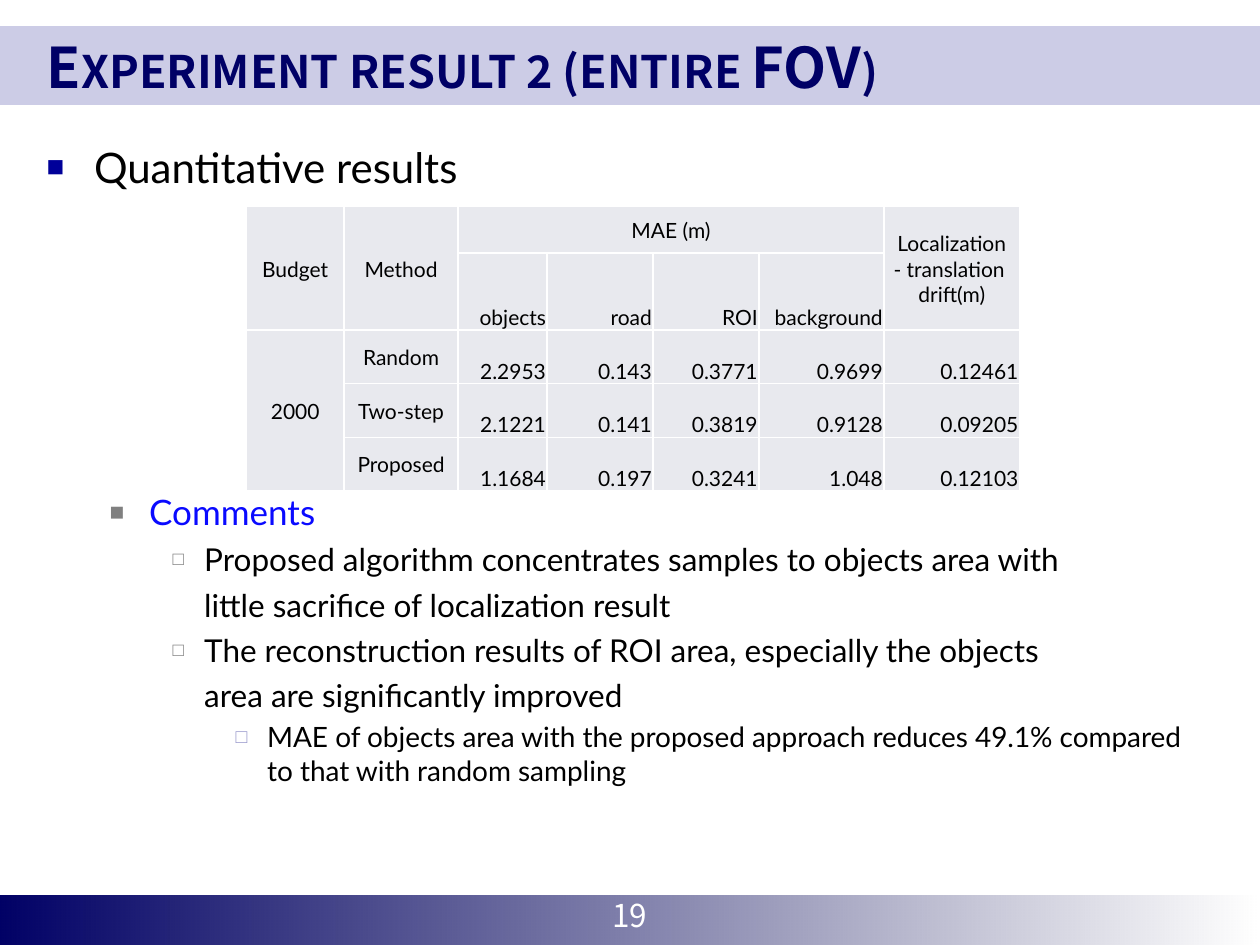
import dataclasses
from typing import Optional

import lxml.etree
import pptx
import pptx.dml.color
import pptx.enum.shapes
import pptx.enum.text
import pptx.oxml.ns
import pptx.util

Pt = pptx.util.Pt
ALIGN = pptx.enum.text.PP_ALIGN
ANCHOR = pptx.enum.text.MSO_ANCHOR
qn = pptx.oxml.ns.qn

COLORS = {
    "band": "CCCCE6", "navy": "000066", "night": "000049", "marker": "000099",
    "gray": "808080", "lilac": "9999CC", "blue": "0A0AFF", "black": "000000",
    "white": "FFFFFF", "cell": "E8E9EE",
}
HEAD_FONT, BODY_FONT = "Noto Sans CJK KR", "Lato"


@dataclasses.dataclass
class Box:
    left: float
    top: float
    width: float
    height: float

    def lengths(self) -> tuple:
        return tuple(Pt(value) for value in dataclasses.astuple(self))


@dataclasses.dataclass
class Bullet:
    text: str
    level: int
    size: float
    indent: float
    hanging: float
    mark: str
    mark_color: str
    mark_percent: int
    color: str = "black"
    before: float = 0
    spacing: float = 1.2


@dataclasses.dataclass
class Entry:
    row: int
    column: int
    text: str
    rows: int = 1
    columns: int = 1
    number: bool = False


def rgb(name: str) -> pptx.dml.color.RGBColor:
    return pptx.dml.color.RGBColor.from_string(COLORS[name])


def add_element(parent, tag: str, **attributes: str):
    return lxml.etree.SubElement(parent, qn(tag), attributes)


def style_font(font, name: str, size: float, color: str, bold: Optional[bool] = None) -> None:
    font.name, font.size, font.bold = name, Pt(size), bold
    font.color.rgb = rgb(color)


def place(shape, box: Box) -> None:
    shape.left, shape.top, shape.width, shape.height = box.lengths()


def add_bar(page, box: Box):
    bar = page.shapes.add_shape(pptx.enum.shapes.MSO_SHAPE.RECTANGLE, *box.lengths())
    bar.shadow.inherit = False
    bar.line.fill.background()
    page.shapes.element.insert(2, bar.element)  # behind the placeholders
    return bar


def write_bullet(para, item: Bullet) -> None:
    para.text, para.level = item.text, item.level
    para.line_spacing, para.space_before, para.space_after = item.spacing, Pt(item.before), Pt(0)
    properties = para._p.get_or_add_pPr()
    properties.set("marL", str(Pt(item.indent)))
    properties.set("indent", str(Pt(-item.hanging)))
    add_element(add_element(properties, "a:buClr"), "a:srgbClr", val=COLORS[item.mark_color])
    add_element(properties, "a:buSzPct", val=str(item.mark_percent * 1000))
    add_element(properties, "a:buChar", char=item.mark)
    style_font(para.font, BODY_FONT, item.size, item.color)


def format_cell(cell) -> None:
    cell.margin_left = cell.margin_right = cell.margin_top = Pt(0.72)
    cell.margin_bottom = Pt(0)
    properties = cell._tc.get_or_add_tcPr()
    for side in ("a:lnL", "a:lnR", "a:lnT", "a:lnB"):
        line = add_element(properties, side, w=str(Pt(1)))
        add_element(add_element(line, "a:solidFill"), "a:srgbClr", val=COLORS["white"])
    cell.fill.solid()
    cell.fill.fore_color.rgb = rgb("cell")


def write_entry(table, entry: Entry) -> None:
    cell = table.cell(entry.row, entry.column)
    if entry.rows * entry.columns > 1:
        cell.merge(table.cell(entry.row + entry.rows - 1, entry.column + entry.columns - 1))
    cell.text = entry.text
    cell.vertical_anchor = ANCHOR.BOTTOM if entry.number else ANCHOR.MIDDLE
    for para in cell.text_frame.paragraphs:
        para.alignment = ALIGN.RIGHT if entry.number else ALIGN.CENTER
        style_font(para.font, BODY_FONT, 12, "black", False)


def add_results(page, box: Box, widths: list, heights: list, entries: list) -> None:
    table = page.shapes.add_table(len(heights), len(widths), *box.lengths()).table
    table.first_row = table.horz_banding = False
    for column, width in zip(table.columns, widths):
        column.width = Pt(width)
    for row, height in zip(table.rows, heights):
        row.height = Pt(height)
    for cell in table.iter_cells():
        format_cell(cell)
    for entry in entries:
        write_entry(table, entry)


BULLETS = [
    Bullet("Quantitative results", 0, 24, 27, 27, "■", "marker", 70),
    # The space before this line leaves room for the table
    Bullet("Comments", 1, 20, 58.5, 22.5, "■", "gray", 70, "blue", before=166),
    Bullet("Proposed algorithm concentrates samples to objects area with\v"
           "little sacrifice of localization result", 2, 18, 90, 18, "□", "gray", 60),
    Bullet("The reconstruction results of ROI area, especially the objects\v"
           "area are significantly improved", 2, 18, 90, 18, "□", "gray", 60),
    Bullet("MAE of objects area with the proposed approach reduces 49.1% compared "
           "to that with random sampling", 3, 16, 126, 18, "□", "lilac", 70,
           before=3.2, spacing=1.0),
]
HEADINGS = [
    Entry(0, 0, "Budget", rows=2),
    Entry(0, 1, "Method", rows=2),
    Entry(0, 2, "MAE (m)", columns=4),
    Entry(0, 6, "Localization\n- translation \vdrift(m)", rows=2),
    Entry(2, 0, "2000", rows=3),
]
MEASURES = ["objects", "road", "ROI", "background"]
RESULTS = {
    "Random": ["2.2953", "0.143", "0.3771", "0.9699", "0.12461"],
    "Two-step": ["2.1221", "0.141", "0.3819", "0.9128", "0.09205"],
    "Proposed": ["1.1684", "0.197", "0.3241", "1.048", "0.12103"],
}


def main() -> None:
    deck = pptx.Presentation()
    deck.slide_width, deck.slide_height = Pt(720), Pt(540)
    page = deck.slides.add_slide(deck.slide_layouts[1])
    title, body = page.placeholders

    # Title band and footer bar
    title_band = add_bar(page, Box(0, 15, 720, 45))
    title_band.fill.solid()
    title_band.fill.fore_color.rgb = rgb("band")
    footer = add_bar(page, Box(0, 511.5, 720, 28.5))
    footer.fill.gradient()
    footer.fill.gradient_angle = 0
    for stop, color in zip(footer.fill.gradient_stops, ("navy", "night")):
        stop.color.rgb = rgb(color)
    last_color = list(footer.element.iter(qn("a:srgbClr")))[-1]
    add_element(last_color, "a:alpha", val="0")

    # Title
    place(title, Box(19.5, 15, 680.5, 45))
    title.text_frame.text = "Experiment result 2 (entire FOV)"
    title.text_frame.auto_size = pptx.enum.text.MSO_AUTO_SIZE.NONE
    title.text_frame.vertical_anchor = ANCHOR.MIDDLE
    heading = title.text_frame.paragraphs[0]
    heading.alignment = ALIGN.LEFT
    style_font(heading.font, HEAD_FONT, 32, "navy", True)
    heading._p.pPr.find(qn("a:defRPr")).set("cap", "small")

    # Bullet list
    place(body, Box(19.5, 71.5, 680.5, 412.5))
    frame = body.text_frame
    frame.auto_size = pptx.enum.text.MSO_AUTO_SIZE.NONE
    for index, item in enumerate(BULLETS):
        write_bullet(frame.add_paragraph() if index else frame.paragraphs[0], item)

    # Results table
    entries = HEADINGS + [Entry(1, column, text, number=True)
                          for column, text in enumerate(MEASURES, 2)]
    for row, (method, values) in enumerate(RESULTS.items(), 2):
        entries.append(Entry(row, 1, method))
        entries += [Entry(row, column, text, number=True) for column, text in enumerate(values, 2)]
    add_results(page, Box(140.7, 118, 442, 162.5),
                [56, 65, 51, 60.5, 60.5, 71.5, 77.5], [26.5, 44, 30.7, 30.7, 30.7], entries)

    # Page number
    number = page.shapes.add_textbox(*Box(0, 508.3, 720, 29).lengths())
    number.text_frame.word_wrap = True
    number.text_frame.text = "19"
    para = number.text_frame.paragraphs[0]
    para.alignment = ALIGN.CENTER
    style_font(para.font, HEAD_FONT, 18, "white")

    deck.save("out.pptx")


if __name__ == "__main__":
    main()
